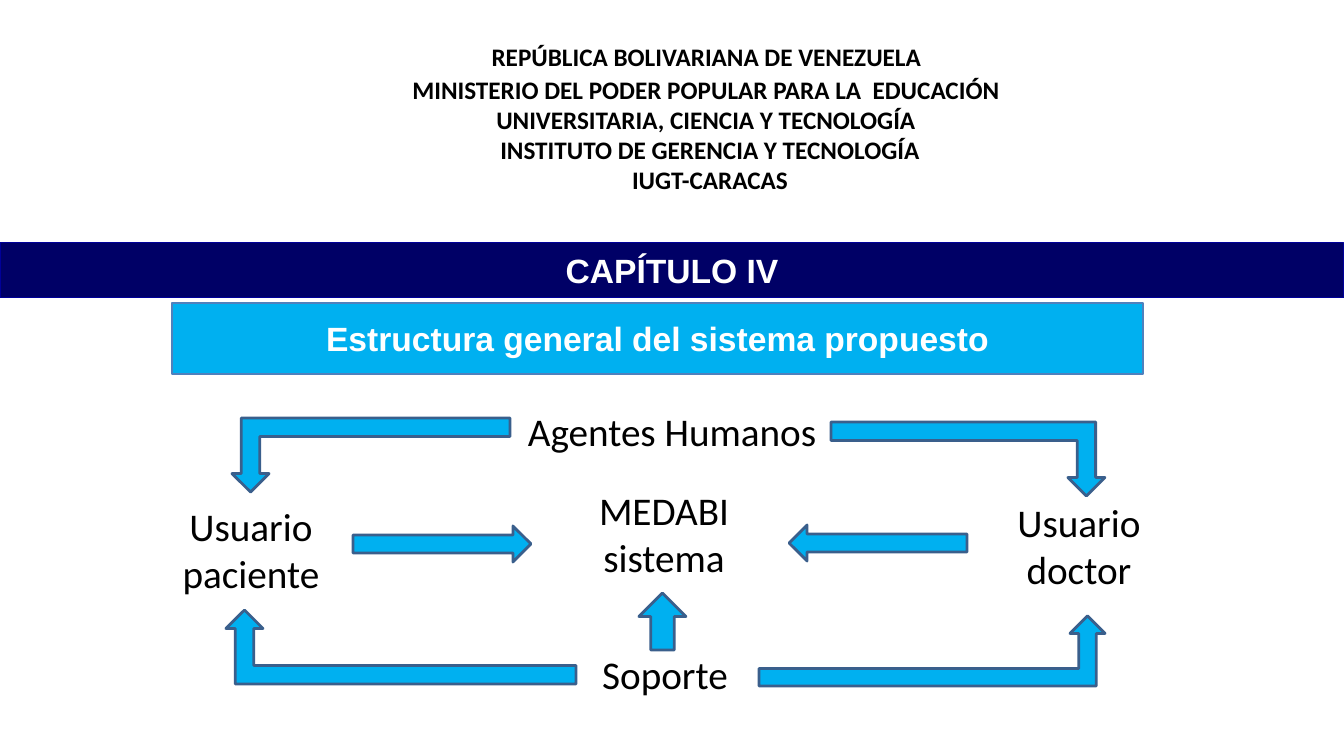
"""Builds the chapter IV slide with the general structure of the proposed system."""
from pptx import Presentation
from pptx.dml.color import RGBColor
from pptx.enum.shapes import MSO_SHAPE as SHAPE
from pptx.enum.text import MSO_ANCHOR as ANCHOR, PP_ALIGN as ALIGN
from pptx.util import Pt

PX = 914400 / 100.8
COLORS = {"navy": "000066", "navy_edge": "000099", "sky": "00B0F0", "title_edge": "4F81BD",
          "arrow_edge": "3A5F8C", "white": "FFFFFF", "black": "000000"}


def paint(shape, fill, edge, width):
    shape.fill.solid()
    shape.fill.fore_color.rgb = RGBColor.from_string(COLORS[fill])
    shape.line.color.rgb = RGBColor.from_string(COLORS[edge])
    shape.line.width = Pt(width)


def write(shape, text, size, font, color, bold, anchor=ANCHOR.TOP):
    frame = shape.text_frame
    frame.text = text
    frame.word_wrap = True
    frame.vertical_anchor = anchor
    for paragraph in frame.paragraphs:
        paragraph.alignment = ALIGN.CENTER
        paragraph.font.size = Pt(size)
        paragraph.font.name = font
        paragraph.font.bold = bold
        paragraph.font.color.rgb = RGBColor.from_string(COLORS[color])


prs = Presentation()
prs.slide_width, prs.slide_height = round(1344 * PX), round(756 * PX)
slide = prs.slides.add_slide(prs.slide_layouts[5])
shapes = slide.shapes

title = shapes.title
title.left, title.top, title.width, title.height = [round(v * PX) for v in (172, 303, 971, 71)]
paint(title, "sky", "title_edge", 2)
write(title, "Estructura general del sistema propuesto", 24, "Arial", "white", True, ANCHOR.MIDDLE)

chapter = shapes.add_shape(SHAPE.RECTANGLE, *[round(v * PX) for v in (0, 243, 1344, 55)])
chapter.shadow.inherit = False
paint(chapter, "navy", "navy_edge", 0.75)
write(chapter, "CAPÍTULO IV", 24, "Arial", "white", True, ANCHOR.MIDDLE)

institution = [
    ("REPÚBLICA BOLIVARIANA DE VENEZUELA", (479, 36, 455, 40)),
    ("MINISTERIO DEL PODER POPULAR PARA LA  EDUCACIÓN UNIVERSITARIA, CIENCIA Y TECNOLOGÍA",
     (370, 69, 672, 72)),
    ("INSTITUTO DE GERENCIA Y TECNOLOGÍA\nIUGT-CARACAS", (488, 129, 444, 72)),
]
actors = [
    ("Agentes Humanos", (498, 402, 348, 57)),
    ("Usuario paciente", (140, 497, 222, 105)),
    ("Usuario doctor", (968, 493, 222, 105)),
    ("MEDABI\nsistema", (553, 481, 222, 105)),
    ("Soporte", (554, 645, 222, 57)),
]
for labels, size, bold in ((institution, 18, True), (actors, 28, False)):
    for text, box in labels:
        label = shapes.add_textbox(*[round(v * PX) for v in box])
        write(label, text, size, "Calibri", "black", bold)

flows = [
    (SHAPE.BENT_UP_ARROW, (232, 418, 278, 74), 180, False),
    (SHAPE.BENT_UP_ARROW, (831, 422, 274, 74), 180, True),
    (SHAPE.RIGHT_ARROW, (353, 526, 178, 36), 0, False),
    (SHAPE.RIGHT_ARROW, (789, 525, 178, 36), 180, False),
    (SHAPE.BENT_UP_ARROW, (759, 616, 346, 70), 0, False),
    (SHAPE.BENT_UP_ARROW, (226, 610, 350, 74), 0, True),
    (SHAPE.RIGHT_ARROW, (634, 598, 57, 47), 270, False),
]
for kind, box, rotation, flipped in flows:
    arrow = shapes.add_shape(kind, *[round(v * PX) for v in box])
    arrow.shadow.inherit = False
    arrow.rotation = rotation
    if flipped:
        arrow._element.spPr.xfrm.set("flipH", "1")
    paint(arrow, "sky", "arrow_edge", 2)

prs.save("out.pptx")
